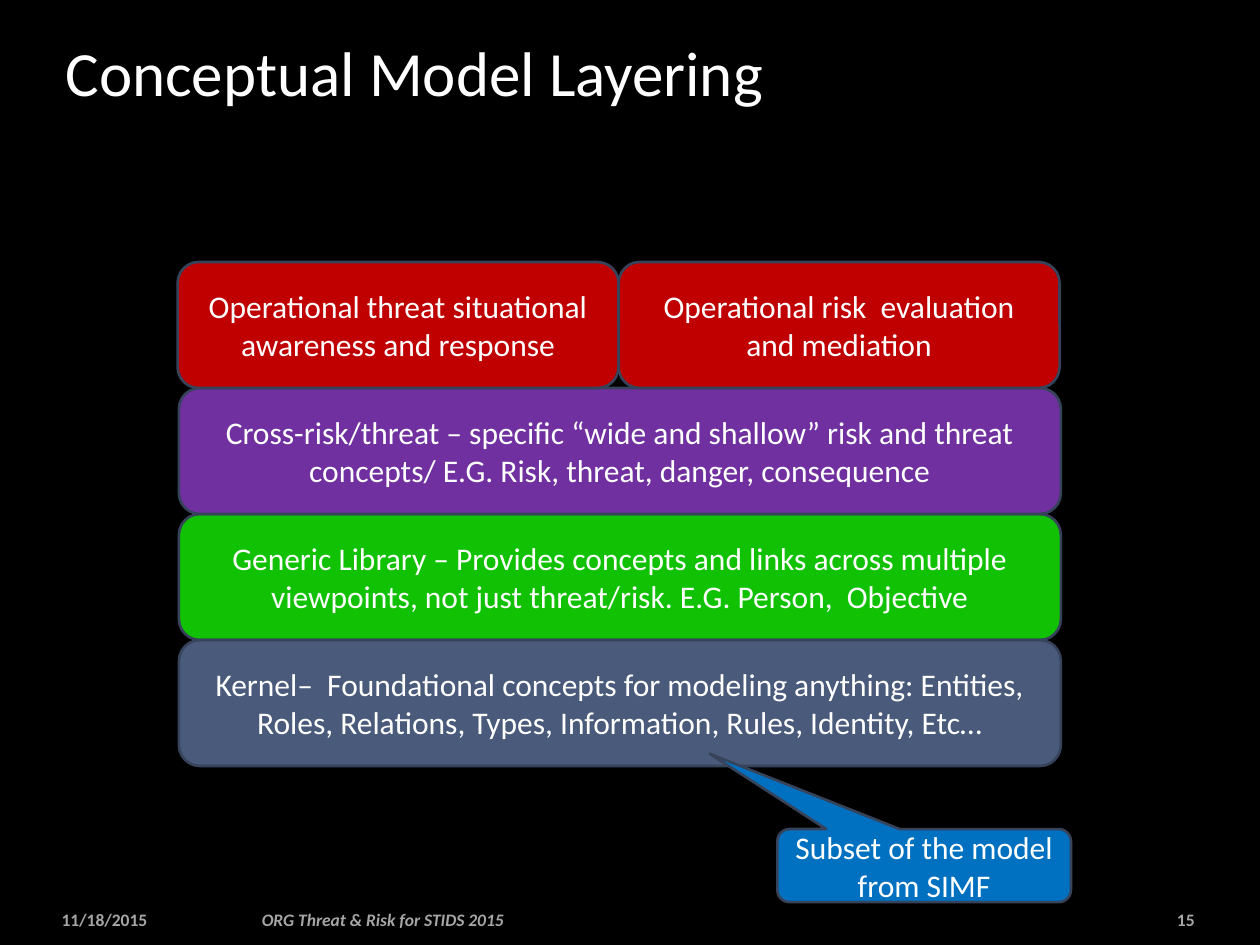
from pptx import Presentation
from pptx.dml.color import RGBColor
from pptx.enum.shapes import MSO_SHAPE
from pptx.enum.text import MSO_ANCHOR, MSO_AUTO_SIZE, PP_ALIGN
from pptx.util import Inches, Pt

ROUNDED = MSO_SHAPE.ROUNDED_RECTANGLE
CALLOUT = MSO_SHAPE.ROUNDED_RECTANGULAR_CALLOUT
LEFT, CENTER, RIGHT = PP_ALIGN.LEFT, PP_ALIGN.CENTER, PP_ALIGN.RIGHT
MIDDLE, BOTTOM = MSO_ANCHOR.MIDDLE, MSO_ANCHOR.BOTTOM
NO_AUTO_SIZE = MSO_AUTO_SIZE.NONE
TITLE_ONLY = 5

COLORS = {
    "background": "000000",
    "text": "FFFFFF",
    "footer": "A6A6A6",
    "outline": "37435A",
    "operational": "C00000",
    "cross": "7030A0",
    "generic": "11C103",
    "kernel": "4A5A7A",
    "callout": "0070C0",
}


def rgb(name):
    return RGBColor.from_string(COLORS[name])


class SlideBuilder:
    """Holds the text style and the slide being filled."""

    font_name = "Calibri"

    def __init__(self, slide):
        self.slide = slide
        slide.background.fill.solid()
        slide.background.fill.fore_color.rgb = rgb("background")

    def set_text(self, shape, text, size, align, anchor, color="text", bold=False, italic=False):
        frame = shape.text_frame
        frame.word_wrap = True
        frame.auto_size = NO_AUTO_SIZE
        frame.vertical_anchor = anchor
        para = frame.paragraphs[0]
        para.text = text
        para.alignment = align
        font = para.font
        font.name, font.size = self.font_name, Pt(size)
        font.bold, font.italic = bold, italic
        font.color.rgb = rgb(color)

    def title(self, text, left, top, width, height):
        title = self.slide.shapes.title
        title.left, title.top = Inches(left), Inches(top)
        title.width, title.height = Inches(width), Inches(height)
        self.set_text(title, text, 36, LEFT, BOTTOM)

    def block(self, text, color, left, top, width, height, kind=ROUNDED):
        block = self.slide.shapes.add_shape(
            kind, Inches(left), Inches(top), Inches(width), Inches(height))
        block.shadow.inherit = False
        block.fill.solid()
        block.fill.fore_color.rgb = rgb(color)
        block.line.color.rgb = rgb("outline")
        block.line.width = Pt(1.5)
        self.set_text(block, text, 18, CENTER, MIDDLE)
        return block

    def callout(self, text, color, left, top, width, height, tip):
        """Add a callout; tip is the pointer's offset from the centre, in box sizes."""
        callout = self.block(text, color, left, top, width, height, CALLOUT)
        callout.adjustments[0], callout.adjustments[1] = tip

    def footer(self, text, left, width, align=LEFT, italic=False):
        box = self.slide.shapes.add_textbox(
            Inches(left), Inches(7.16), Inches(width), Inches(0.27))
        self.set_text(box, text, 10, align, MIDDLE, "footer", bold=True, italic=italic)


def main():
    deck = Presentation()
    deck.slide_width, deck.slide_height = Inches(10), Inches(7.5)
    page = SlideBuilder(deck.slides.add_slide(deck.slide_layouts[TITLE_ONLY]))

    page.title("Conceptual Model Layering", 0.42, 0.17, 8.4, 0.75)

    stack_top, layer_height = 2.08, 1
    layers = [
        (2, "generic", "Generic Library – Provides concepts and links across multiple "
                       "viewpoints, not just threat/risk. E.G. Person,  Objective"),
        (3, "kernel", "Kernel–  Foundational concepts for modeling anything: Entities, "
                      "Roles, Relations, Types, Information, Rules, Identity, Etc…"),
        (1, "cross", "Cross-risk/threat – specific “wide and shallow” risk and threat "
                     "concepts/ E.G. Risk, threat, danger, consequence"),
    ]
    for level, color, text in layers:
        page.block(text, color, 1.42, stack_top + level * layer_height, 7, layer_height)

    operations = [
        "Operational threat situational awareness and response",
        "Operational risk  evaluation and mediation",
    ]
    for column, text in enumerate(operations):
        page.block(text, "operational", 1.41 + column * 3.5, stack_top, 3.5, layer_height)

    page.callout("Subset of the model from SIMF", "callout",
                 6.17, 6.58, 2.33, 0.58, tip=(-0.73, -1.53))

    page.footer("ORG Threat & Risk for STIDS 2015", 1.98, 4.47, italic=True)
    page.footer("15", 8.62, 0.96, RIGHT)
    page.footer("11/18/2015", 0.39, 1.6)

    deck.save("out.pptx")


if __name__ == "__main__":
    main()
